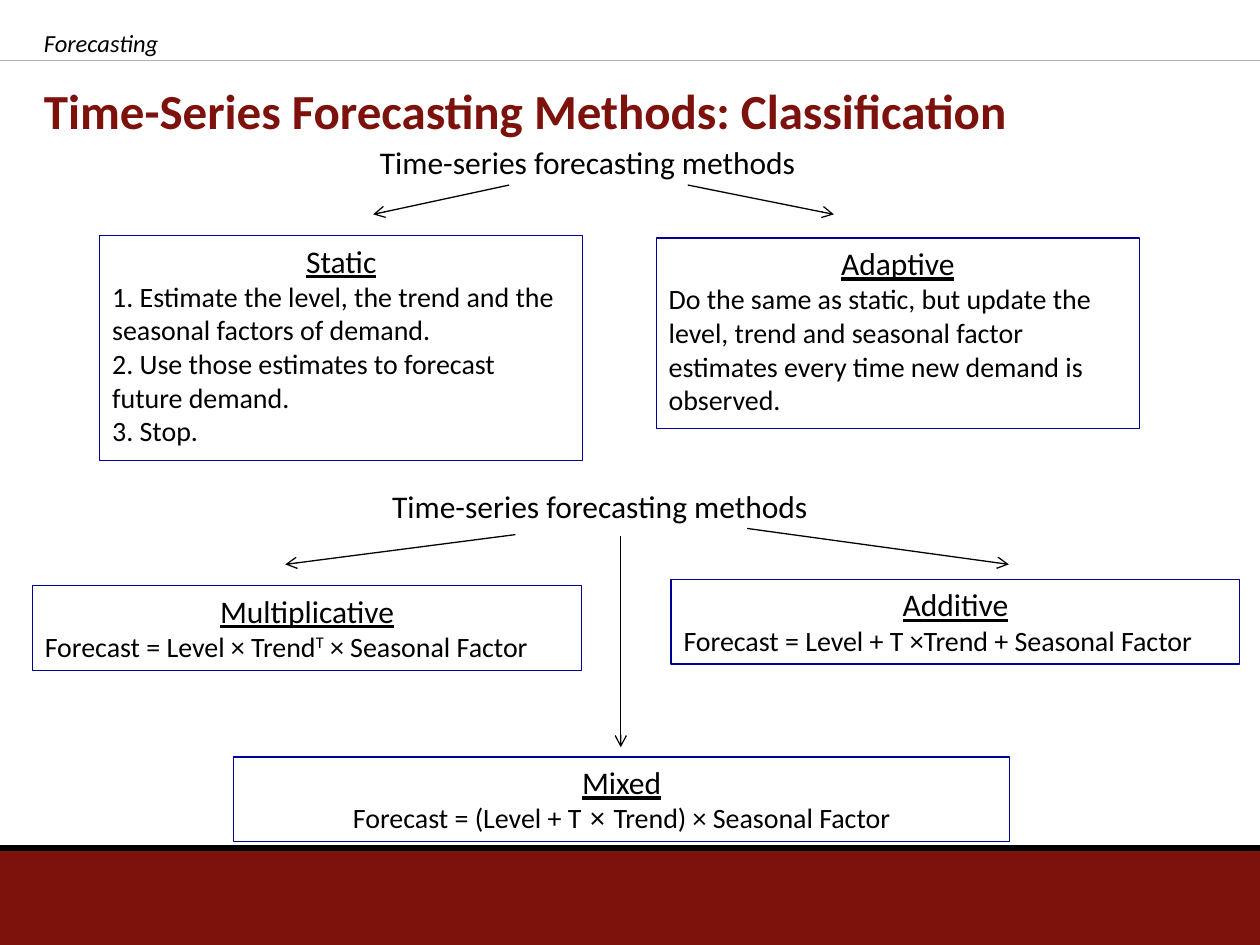
"""Build the slide that classifies time-series forecasting methods."""
from lxml import etree
from pptx import Presentation
from pptx.dml.color import RGBColor
from pptx.enum.shapes import MSO_CONNECTOR, MSO_SHAPE
from pptx.enum.text import MSO_ANCHOR, PP_ALIGN
from pptx.oxml.ns import qn
from pptx.util import Pt

RECTANGLE = MSO_SHAPE.RECTANGLE
STRAIGHT = MSO_CONNECTOR.STRAIGHT
TOP, MIDDLE = MSO_ANCHOR.TOP, MSO_ANCHOR.MIDDLE
LEFT, CENTER = PP_ALIGN.LEFT, PP_ALIGN.CENTER

BLACK = RGBColor(0x00, 0x00, 0x00)
MAROON = RGBColor(0x7D, 0x11, 0x0C)
NAVY = RGBColor(0x00, 0x00, 0x99)
GRAY = RGBColor(0xB0, 0xB2, 0xB4)

WIDTH, HEIGHT = 720, 540
FOOTER_TOP = 486
BODY = {"size": Pt(16)}
HEADING = {"size": Pt(18), "underline": True}
SUPERSCRIPT = "30000"

LABELS = [
    ("Forecasting", (18, 12.25, 390, 24), TOP, True,
     {"size": Pt(14), "italic": True}),
    ("Time-Series Forecasting Methods: Classification", (18, 42, 662, 42), MIDDLE, True,
     {"size": Pt(28), "bold": True, "color": MAROON}),
    ("Time-series forecasting methods", (210, 78, 255.5, 29), TOP, False,
     {"size": Pt(18)}),
    ("Time-series forecasting methods", (217, 274.5, 255.5, 29), TOP, False,
     {"size": Pt(18)}),
]

METHODS = [
    ("Static", (57, 134.5, 276, 128.5), LEFT, [
        [("1. Estimate the level, the trend and the seasonal factors of demand.", {})],
        [("2. Use those estimates to forecast future demand.", {})],
        [("3. Stop.", {})],
    ]),
    ("Adaptive", (375, 136, 276, 109), LEFT, [
        [("Do the same as static, but update the level, trend and seasonal factor "
          "estimates every time new demand is observed.", {})],
    ]),
    ("Multiplicative", (18.5, 334.5, 314, 48.5), LEFT, [
        [("Forecast = Level × Trend", {}), ("T", {"baseline": SUPERSCRIPT}),
         (" × Seasonal Factor", {})],
    ]),
    ("Mixed", (133.5, 432.5, 443.5, 48.5), CENTER, [
        [("Forecast = (Level + T", {}), (" × ", {"name": "Arial"}),
         ("Trend) × Seasonal Factor", {})],
    ]),
    ("Additive", (383.5, 331, 325, 48.5), LEFT, [
        [("Forecast = Level + T ×Trend + Seasonal Factor", {})],
    ]),
]

RULES = [
    ((0, 34.75), (WIDTH, 34.75), GRAY, 0.75),
    ((0, 484.5), (WIDTH, 484.5), BLACK, 3.75),
]

ARROWS = [
    ((291, 105.75), (213.25, 122.5)),
    ((393, 105.75), (476.5, 122.5)),
    ((294.5, 305.5), (163, 322.5)),
    ((354.75, 306), (354.75, 427)),
    ((427, 302), (576.5, 322.5)),
]


def write(paragraph, runs, base, alignment=LEFT):
    paragraph.alignment = alignment
    for text, changes in runs:
        run = paragraph.add_run()
        run.text = text
        for key, value in {"name": "Calibri", "color": BLACK, **base, **changes}.items():
            if key == "color":
                run.font.color.rgb = value
            elif key == "baseline":
                run._r.get_or_add_rPr().set(key, value)
            else:
                setattr(run.font, key, value)


def add_label(slide, text, place, anchor, wrap, style):
    frame = slide.shapes.add_textbox(*map(Pt, place)).text_frame
    frame.word_wrap = wrap
    frame.vertical_anchor = anchor
    write(frame.paragraphs[0], [(text, {})], style)


def add_rectangle(slide, place):
    rectangle = slide.shapes.add_shape(RECTANGLE, *map(Pt, place))
    rectangle.shadow.inherit = False
    return rectangle


def add_method(slide, heading, place, alignment, details):
    box = add_rectangle(slide, place)
    box.fill.background()
    box.line.color.rgb = NAVY
    box.line.width = Pt(0.75)
    frame = box.text_frame
    frame.word_wrap = True
    frame.vertical_anchor = TOP
    write(frame.paragraphs[0], [(heading, {})], HEADING, CENTER)
    for runs in details:
        write(frame.add_paragraph(), runs, BODY, alignment)


def add_line(slide, start, end, color=BLACK, width=0.75, arrow=False):
    line = slide.shapes.add_connector(STRAIGHT, *map(Pt, start + end))
    line.line.color.rgb = color
    line.line.width = Pt(width)
    if arrow:
        etree.SubElement(line.line._get_or_add_ln(), qn("a:tailEnd"), type="arrow")
    etree.SubElement(line._element.spPr, qn("a:effectLst"))


def main():
    deck = Presentation()
    deck.slide_width, deck.slide_height = Pt(WIDTH), Pt(HEIGHT)
    slide = deck.slides.add_slide(deck.slide_layouts[6])

    footer = add_rectangle(slide, (0, FOOTER_TOP, WIDTH, HEIGHT - FOOTER_TOP))
    footer.fill.solid()
    footer.fill.fore_color.rgb = MAROON
    footer.line.fill.background()

    for rule in RULES:
        add_line(slide, *rule)
    for label in LABELS:
        add_label(slide, *label)
    for method in METHODS:
        add_method(slide, *method)
    for start, end in ARROWS:
        add_line(slide, start, end, arrow=True)

    deck.save("out.pptx")


if __name__ == "__main__":
    main()
